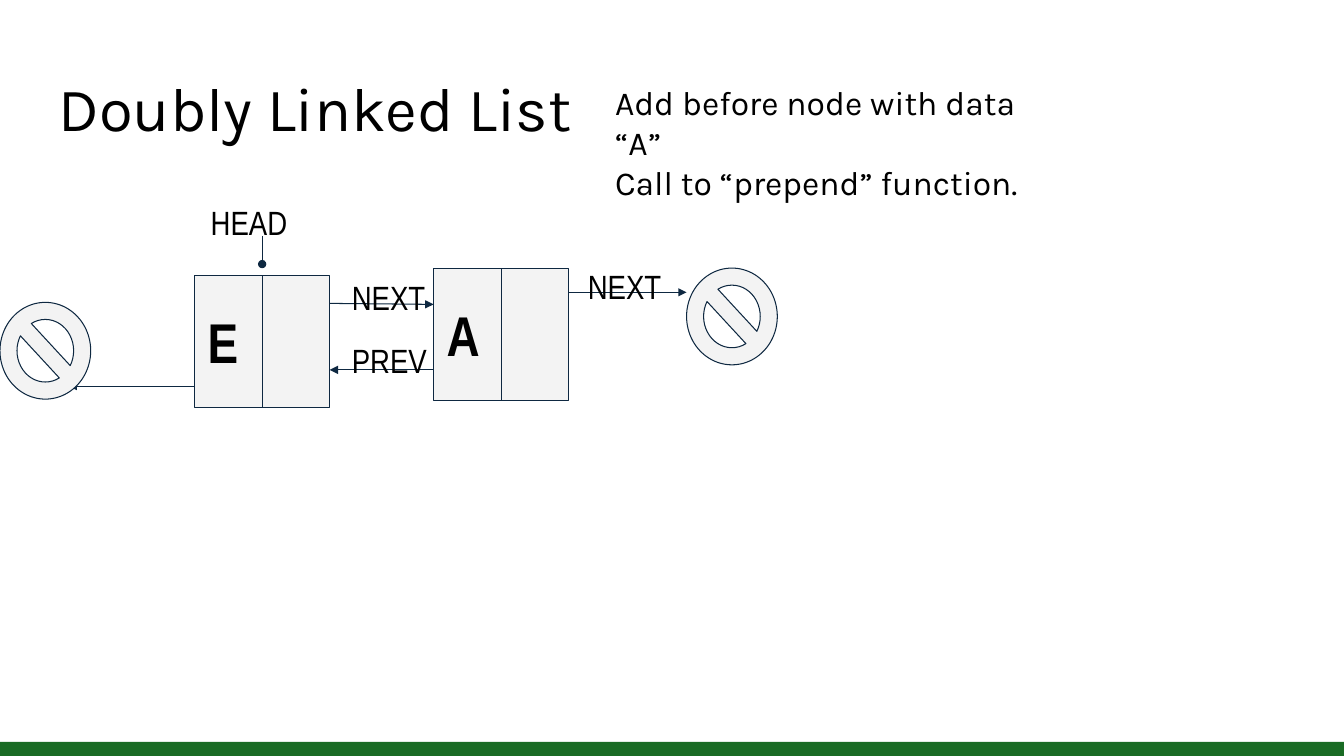
from lxml import etree
from pptx import Presentation
from pptx.dml.color import RGBColor
from pptx.enum.shapes import MSO_CONNECTOR, MSO_SHAPE
from pptx.enum.text import MSO_ANCHOR, PP_ALIGN
from pptx.oxml.ns import qn
from pptx.util import Inches, Pt

RECT, NO_SYMBOL = MSO_SHAPE.RECTANGLE, MSO_SHAPE.NO_SYMBOL
STRAIGHT = MSO_CONNECTOR.STRAIGHT
TOP, MIDDLE, LEFT = MSO_ANCHOR.TOP, MSO_ANCHOR.MIDDLE, PP_ALIGN.LEFT

GREEN = RGBColor(0x19, 0x6B, 0x24)
NAVY = RGBColor(0x0E, 0x28, 0x41)
PALE = RGBColor(0xF3, 0xF3, 0xF3)
BLACK = RGBColor(0, 0, 0)

SLIDE_W, SLIDE_H = 13.33, 7.5
BAR_H = 0.14
NODE_W, NODE_H = 1.34, 1.31
NULL_W, NULL_H = 0.9, 0.96
LABEL_W, LABEL_H = 1.29, 0.29
INSET = 0.13
HEADING_FONT, DIAGRAM_FONT = "Karla", "Arial Narrow"


def write(shape, lines, size, font, bold=False, anchor=TOP):
    tf = shape.text_frame
    tf.word_wrap = True
    tf.vertical_anchor = anchor
    tf.margin_left = tf.margin_right = Inches(INSET)
    tf.margin_top = tf.margin_bottom = Inches(INSET)
    for i, line in enumerate(lines):
        p = tf.add_paragraph() if i else tf.paragraphs[0]
        p.alignment = LEFT
        r = p.add_run()
        r.text = line
        r.font.size, r.font.name, r.font.bold = Pt(size), font, bold
        r.font.color.rgb = BLACK


def add_box(s, kind, x, y, w, h, fill=PALE, line=NAVY):
    sp = s.shapes.add_shape(kind, Inches(x), Inches(y), Inches(w), Inches(h))
    sp.shadow.inherit = False
    sp.fill.solid()
    sp.fill.fore_color.rgb = fill
    if line is None:
        sp.line.fill.background()
    else:
        sp.line.color.rgb = line
        sp.line.width = Pt(0.75)
    return sp


def add_line(s, x1, y1, x2, y2, end=None):
    """Draw a thin line; end names the arrowhead at its second point."""
    c = s.shapes.add_connector(STRAIGHT, Inches(x1), Inches(y1), Inches(x2), Inches(y2))
    c.line.color.rgb = NAVY
    c.line.width = Pt(0.75)
    if end:
        etree.SubElement(c.line._get_or_add_ln(), qn("a:tailEnd"), type=end)
    etree.SubElement(c._element.spPr, qn("a:effectLst"))


def add_text(s, x, y, w, h, lines, font):
    tb = s.shapes.add_textbox(Inches(x), Inches(y), Inches(w), Inches(h))
    write(tb, lines, 24, font)


def add_label(s, x, y, text):
    add_text(s, x, y, LABEL_W, LABEL_H, [text], DIAGRAM_FONT)


def add_node(s, x, y, data):
    write(add_box(s, RECT, x, y, NODE_W, NODE_H), [data], 40, DIAGRAM_FONT, True, MIDDLE)
    middle = x + NODE_W / 2
    add_line(s, middle, y, middle, y + NODE_H)


def add_null(s, x, y):
    add_box(s, NO_SYMBOL, x, y, NULL_W, NULL_H).adjustments[0] = 0.188


def add_heading(s, x, y):
    title = s.shapes.title
    title.left, title.top = Inches(x), Inches(y)
    title.width, title.height = Inches(SLIDE_W - 2 * x), Inches(1.03)
    write(title, ["Doubly Linked List"], 44, HEADING_FONT)
    title.text_frame.paragraphs[0].line_spacing = 0.9
    note = ["Add before node with data “A”", "Call to “prepend” function."]
    add_text(s, x + 5.52, y + 0.03, 4.62, 0.55, note, HEADING_FONT)


def add_linked_list(s, x, y):
    """Draw null <- E <-> A -> null from the left edge x; y is the top of node A."""
    e_x, a_x, end_x = x + 1.93, x + 4.3, x + 6.81
    e_y = y + 0.07
    e_right, a_right = e_x + NODE_W, a_x + NODE_W
    head_x = e_x + NODE_W / 2

    add_line(s, e_x, y + 1.17, x + 0.68, y + 1.17, "triangle")
    add_null(s, x, y + 0.34)
    add_node(s, e_x, e_y, "E")
    add_node(s, a_x, y, "A")
    add_null(s, end_x, y)

    add_line(s, head_x, e_y - 0.39, head_x, e_y - 0.11, "oval")
    add_line(s, e_right, y + 0.35, a_x, y + 0.36, "triangle")
    add_line(s, a_x, y + 1.01, e_right, y + 1.01, "triangle")
    add_line(s, a_right, y + 0.24, end_x, y + 0.24, "triangle")

    add_label(s, e_x + 0.03, y - 0.79, "HEAD")
    add_label(s, e_right + 0.09, y - 0.04, "NEXT")
    add_label(s, e_right + 0.09, y + 0.58, "PREV")
    add_label(s, a_right + 0.06, y - 0.15, "NEXT")


def main():
    prs = Presentation()
    prs.slide_width, prs.slide_height = Inches(SLIDE_W), Inches(SLIDE_H)
    s = prs.slides.add_slide(prs.slide_layouts[5])
    add_box(s, RECT, 0, SLIDE_H - BAR_H, SLIDE_W, BAR_H, GREEN, None)
    add_heading(s, 0.45, 0.65)
    add_linked_list(s, 0, 2.66)
    prs.save("out.pptx")


if __name__ == "__main__":
    main()
